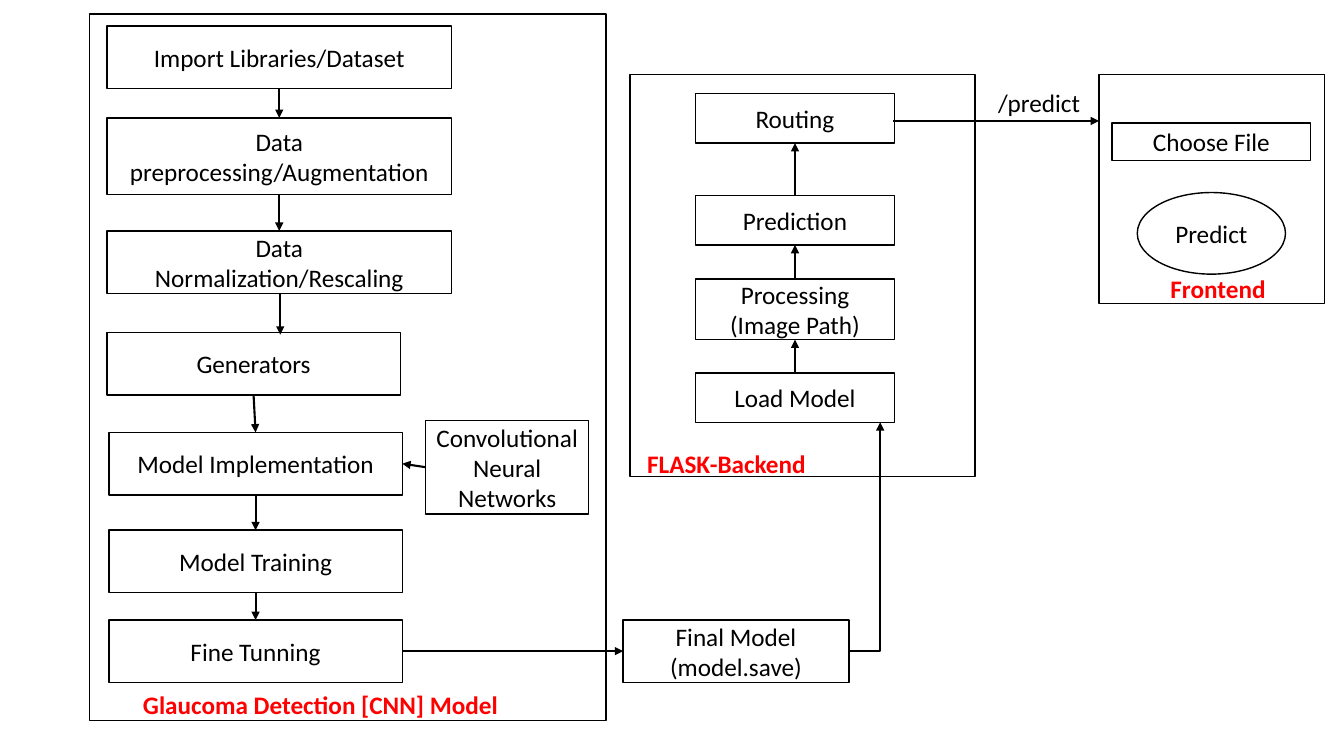
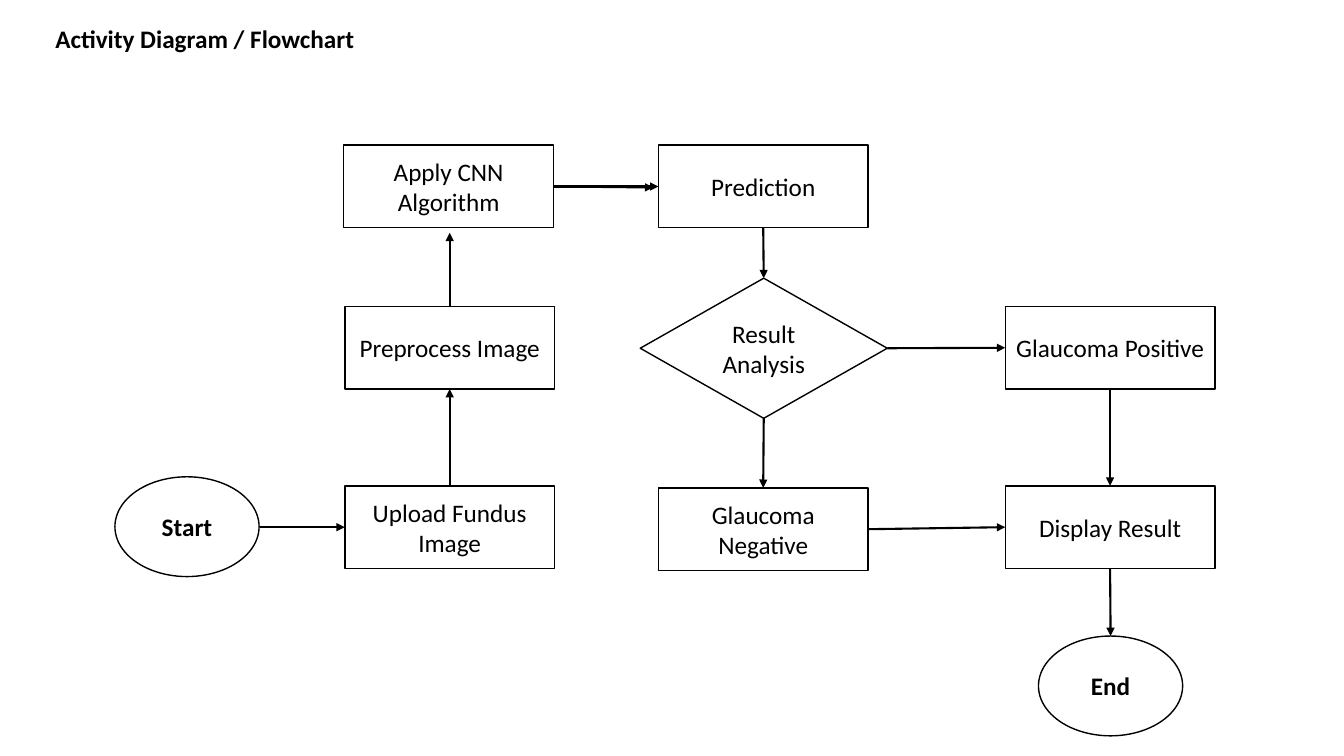
from dataclasses import dataclass
from itertools import pairwise

from lxml.etree import SubElement
from pptx import Presentation
from pptx.dml.color import RGBColor
from pptx.enum.shapes import MSO_CONNECTOR, MSO_SHAPE
from pptx.enum.text import MSO_ANCHOR, MSO_AUTO_SIZE, PP_ALIGN
from pptx.oxml.ns import qn
from pptx.util import Pt

PX = 9144  # 100 px to the inch
TOP, LEFT, BOTTOM, RIGHT = range(4)  # connection sites


@dataclass(frozen=True)
class Theme:
    ink: RGBColor = RGBColor(0, 0, 0)
    paper: RGBColor = RGBColor(255, 255, 255)
    accent: RGBColor = RGBColor(255, 0, 0)
    font: str = "Calibri"
    size: int = 18
    border: float = 1
    stroke: float = 1.5


class Deck:
    def __init__(self, theme):
        self.theme = theme
        self.file = Presentation()
        self.file.slide_width = 1333 * PX
        self.file.slide_height = 750 * PX
        self.slide = None

    def page(self):
        self.slide = self.file.slides.add_slide(self.file.slide_layouts[6])

    def letter(self, frame, text, color, bold, align):
        """Fill a text frame and style its runs."""
        frame.text = text
        frame.word_wrap = True
        for par in frame.paragraphs:
            par.alignment = align
            for run in par.runs:
                font = run.font
                font.name, font.size, font.bold = self.theme.font, Pt(self.theme.size), bold
                font.color.rgb = color

    def box(self, x, y, w, h, text="", kind=MSO_SHAPE.RECTANGLE, bold=False):
        shape = self.slide.shapes.add_shape(kind, x * PX, y * PX, w * PX, h * PX)
        shape.shadow.inherit = False
        shape.fill.solid()
        shape.fill.fore_color.rgb = self.theme.paper
        shape.line.color.rgb = self.theme.ink
        shape.line.width = Pt(self.theme.border)
        if text:
            shape.text_frame.vertical_anchor = MSO_ANCHOR.MIDDLE
            self.letter(shape.text_frame, text, self.theme.ink, bold, PP_ALIGN.CENTER)
        return shape

    def oval(self, x, y, w, h, text, bold=False):
        return self.box(x, y, w, h, text, MSO_SHAPE.OVAL, bold)

    def label(self, x, y, w, text, color=None, bold=True):
        area = self.slide.shapes.add_textbox(x * PX, y * PX, w * PX, 40 * PX)
        self.letter(area.text_frame, text, color or self.theme.ink, bold, PP_ALIGN.LEFT)
        area.text_frame.auto_size = MSO_AUTO_SIZE.SHAPE_TO_FIT_TEXT

    def arrow(self, x1, y1, x2, y2, kind=MSO_CONNECTOR.STRAIGHT):
        line = self.slide.shapes.add_connector(kind, x1 * PX, y1 * PX, x2 * PX, y2 * PX)
        line.line.color.rgb = self.theme.ink
        line.line.width = Pt(self.theme.stroke)
        props = line._element.spPr
        SubElement(props.find(qn("a:ln")), qn("a:tailEnd"), type="triangle")
        SubElement(props, qn("a:effectLst"))
        return line

    def link(self, start, out, end, into):
        """Draw an arrow glued to a connection site of each shape."""
        line = self.arrow(0, 0, 1, 1)
        line.begin_connect(start, out)
        line.end_connect(end, into)

    def bend(self, start, x1, y1, x2, y2):
        """Draw an arrow with one corner, leaving the right side of start."""
        line = self.arrow(x1, y1, x2, y2, MSO_CONNECTOR.ELBOW)
        line._element.spPr.find(qn("a:prstGeom")).set("prst", "bentConnector2")
        line.begin_connect(start, RIGHT)


def design(deck):
    deck.page()
    red = deck.theme.accent

    deck.box(89, 14, 512, 701)
    wide = [deck.box(106, y, 342, h, text) for y, h, text in (
        (26, 62, "Import Libraries/Dataset"),
        (117, 76, "Data preprocessing/Augmentation"),
        (229, 62, "Data\nNormalization/Rescaling"),
    )]
    slim = [deck.box(x, y, 291, 62, text) for x, y, text in (
        (106, 330, "Generators"),
        (108, 429, "Model Implementation"),
        (108, 526, "Model Training"),
        (108, 615, "Fine Tunning"),
    )]
    for steps in (wide, slim):
        for start, end in pairwise(steps):
            deck.link(start, BOTTOM, end, TOP)
    deck.arrow(278, 291, 278, 332)
    net = deck.box(422, 417, 162, 93, "Convolutional Neural Networks")
    deck.link(net, LEFT, slim[1], RIGHT)
    final = deck.box(618, 615, 224, 62, "Final Model\n(model.save)")
    deck.link(slim[-1], RIGHT, final, LEFT)

    deck.box(625, 74, 342, 399)
    tasks = [deck.box(690, y, 197, h, text) for y, h, text in (
        (370, 49, "Load Model"),
        (277, 60, "Processing\n(Image Path)"),
        (194, 49, "Prediction"),
        (93, 49, "Routing"),
    )]
    for start, end in pairwise(tasks):
        deck.link(start, TOP, end, BOTTOM)
    deck.bend(final, 842, 646, 873, 419)

    deck.box(1090, 74, 224, 227)
    deck.box(1103, 122, 197, 37, "Choose File")
    deck.oval(1128, 191, 147, 81, "Predict")
    deck.arrow(886, 120, 1090, 120)

    deck.label(980, 82, 102, "/predict", bold=False)
    deck.label(132, 679, 407, "Glaucoma Detection [CNN] Model", red)
    deck.label(632, 440, 181, "FLASK-Backend", red)
    deck.label(1151, 266, 125, "Frontend", red)


def flow(deck):
    deck.page()
    deck.label(45, 18, 358, "Activity Diagram / Flowchart")

    deck.oval(114, 473, 143, 99, "Start", True)
    stop = deck.oval(1030, 631, 143, 99, "End", True)
    load, prep, apply, guess, minus, plus, show = [
        deck.box(x, y, 208, 82, text) for x, y, text in (
            (342, 482, "Upload Fundus Image"),
            (342, 304, "Preprocess Image"),
            (341, 144, "Apply CNN Algorithm"),
            (653, 144, "Prediction"),
            (653, 484, "Glaucoma Negative"),
            (997, 304, "Glaucoma Positive"),
            (997, 482, "Display Result"),
        )]
    check = deck.box(635, 276, 245, 139, "Result Analysis", MSO_SHAPE.FLOWCHART_DECISION)

    deck.arrow(258, 523, 342, 523)
    deck.arrow(446, 304, 446, 231)
    deck.arrow(551, 185, 648, 186)
    for start, out, end, into in (
        (load, TOP, prep, BOTTOM),
        (apply, RIGHT, guess, LEFT),
        (guess, BOTTOM, check, TOP),
        (check, RIGHT, plus, LEFT),
        (check, BOTTOM, minus, TOP),
        (minus, RIGHT, show, LEFT),
        (plus, BOTTOM, show, TOP),
        (show, BOTTOM, stop, TOP),
    ):
        deck.link(start, out, end, into)


def main():
    deck = Deck(Theme())
    design(deck)
    flow(deck)
    deck.file.save("out.pptx")


if __name__ == "__main__":
    main()
